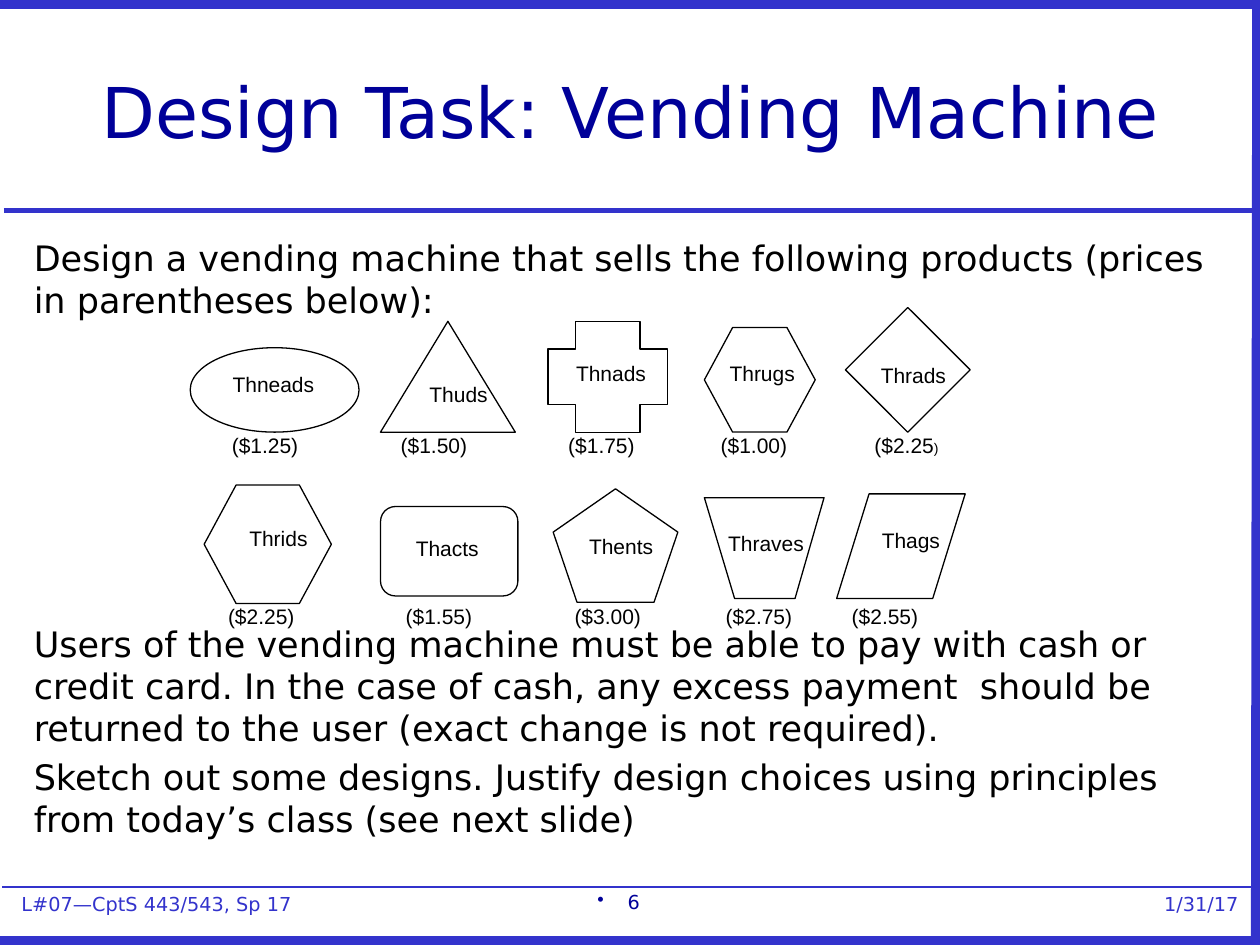
from lxml.etree import SubElement
from pptx import Presentation
from pptx.dml.color import RGBColor
from pptx.enum.shapes import MSO_CONNECTOR, MSO_SHAPE as SHAPE
from pptx.enum.text import MSO_ANCHOR as ANCHOR, PP_ALIGN as ALIGN
from pptx.oxml.ns import qn
from pptx.util import Emu, Pt

PX = 9144  # 100 px to the inch
COLORS = {"rule": "3333CC", "title": "000099", "ink": "000000", "paper": "FFFFFF"}
HEADING, LABEL = "DejaVu Sans", "Arial"
LABEL_INSETS = (9, 4, 9, 4)


def px(n):
    return Emu(n * PX)


def rgb(name):
    return RGBColor.from_string(COLORS[name])


def add_run(p, text, size, font, color):
    r = p.add_run()
    r.text = text
    r.font.size, r.font.name = Pt(size), font
    r.font.color.rgb = rgb(color)


def add_bullet(p, indent):
    pPr = p._p.get_or_add_pPr()
    pPr.set("marL", str(px(indent)))
    pPr.set("indent", str(-px(indent)))
    SubElement(pPr, qn("a:buChar")).set("char", "•")


class SlideBuilder:
    def __init__(self, slide):
        self.s = slide

    def text(self, box, paragraphs, size=12, font=LABEL, color="ink", align=ALIGN.LEFT,
             anchor=ANCHOR.TOP, insets=(10, 5, 10, 5), gap=0, fill=None):
        """Add a text box; each paragraph is a string or a list of (text, size) runs."""
        sp = self.s.shapes.add_textbox(*map(px, box))
        if fill:
            sp.fill.solid()
            sp.fill.fore_color.rgb = rgb(fill)
        tf = sp.text_frame
        tf.word_wrap, tf.vertical_anchor = True, anchor
        tf.margin_left, tf.margin_top, tf.margin_right, tf.margin_bottom = map(px, insets)
        for i, runs in enumerate(paragraphs):
            p = tf.add_paragraph() if i else tf.paragraphs[0]
            p.alignment = align
            if i:
                p.space_before = Pt(gap)
            for text, run_size in [(runs, size)] if isinstance(runs, str) else runs:
                add_run(p, text, run_size, font, color)
        return sp

    def line(self, start, end, width):
        c = self.s.shapes.add_connector(MSO_CONNECTOR.STRAIGHT, *map(px, start + end))
        c.line.color.rgb, c.line.width = rgb("rule"), Pt(width)
        SubElement(c._element.spPr, qn("a:effectLst"))

    def outline(self, sp):
        sp.shadow.inherit = False
        sp.fill.solid()
        sp.fill.fore_color.rgb = rgb("paper")
        sp.line.color.rgb, sp.line.width = rgb("ink"), Pt(0.75)

    def preset(self, kind, box, adj=None):
        sp = self.s.shapes.add_shape(kind, *map(px, box))
        if adj is not None:
            sp.adjustments[0] = adj
        self.outline(sp)

    def polygon(self, points):
        fb = self.s.shapes.build_freeform(*points[0], scale=PX)
        fb.add_line_segments(points[1:], close=True)
        self.outline(fb.convert_to_shape())

    def label(self, at, text):
        self.text((*at, 94, 39), [text], align=ALIGN.CENTER, insets=LABEL_INSETS)

    def price(self, at, runs):
        self.text((*at, 90, 33), [runs], insets=LABEL_INSETS)


# Per row: top of the prices, then (kind, box or points, adjustment, name, name position, price, price left)
ROWS = [
    (339, [
        (SHAPE.OVAL, (151, 276, 134, 67), None, "Thneads", (170, 291), "($1.25)", 175),
        (SHAPE.ISOSCELES_TRIANGLE, (302, 255, 107, 88), None, "Thuds", (317, 299), "($1.50)", 309),
        (SHAPE.CROSS, (435, 255, 95, 88), 0.25, "Thnads", (438, 282), "($1.75)", 442),
        (SHAPE.HEXAGON, (559, 260, 88, 83), 0.27, "Thrugs", (558, 282), "($1.00)", 563),
        (SHAPE.DIAMOND, (671, 244, 99, 99), None, "Thrads", (678, 284),
         [("($2.25", 12), (")", 8)], 685),
    ]),
    (475, [
        (SHAPE.HEXAGON, (162, 385, 101, 94), 0.27, "Thrids", (174, 413), "($2.25)", 172),
        (SHAPE.ROUNDED_RECTANGLE, (302, 402, 109, 71), None, "Thacts", (308, 421), "($1.55)", 313),
        (SHAPE.REGULAR_PENTAGON, (439, 388, 99, 90), None, "Thents", (446, 419), "($3.00)", 447),
        (None, [(559, 395), (583, 475), (631, 475), (654, 395)], None,
         "Thraves", (561, 417), "($2.75)", 567),
        (SHAPE.PARALLELOGRAM, (664, 392, 102, 83), 0.31, "Thags", (676, 415), "($2.55)", 667),
    ]),
]

RULES = [
    ((3, 167), (997, 167), 3),
    ((-1, 3), (998, 3), 6),
    ((-1, 747), (998, 747), 6),
    ((997, 751), (998, 0), 6),
    ((2, 704), (995, 704), 1),
]


def main():
    prs = Presentation()
    prs.slide_width, prs.slide_height = px(1000), px(750)
    b = SlideBuilder(prs.slides.add_slide(prs.slide_layouts[6]))

    footer = dict(size=11, font=HEADING, color="rule", insets=(0, 0, 0, 0), fill="paper")
    b.text((17, 708, 250, 18), ["L#07—CptS 443/543, Sp 17"], **footer)
    b.text((750, 708, 233, 18), ["1/31/17"], align=ALIGN.RIGHT, **footer)
    for start, end, width in RULES:
        b.line(start, end, width)

    b.text((17, 17, 967, 142), ["Design Task: Vending Machine"], size=40, font=HEADING,
           color="title", align=ALIGN.CENTER, anchor=ANCHOR.MIDDLE)
    body = dict(size=20, font=HEADING, gap=4)
    b.text((17, 183, 967, 80), [
        "Design a vending machine that sells the following products "
        "(prices in parentheses below):"], **body)
    b.text((17, 489, 967, 203), [
        "Users of the vending machine must be able to pay with cash or credit card. "
        "In the case of cash, any excess payment  should be returned to the user "
        "(exact change is not required).",
        "Sketch out some designs. Justify design choices using principles from "
        "today’s class (see next slide)"], **body)
    number = b.text((16, 702, 950, 17), ["6"], size=11, font=HEADING, color="title",
                    align=ALIGN.CENTER)
    add_bullet(number.text_frame.paragraphs[0], 24)

    for price_top, products in ROWS:
        for kind, geometry, adj, name, name_at, price, price_left in products:
            if kind is None:
                b.polygon(geometry)
            else:
                b.preset(kind, geometry, adj)
            b.label(name_at, name)
            b.price((price_left, price_top), price)

    prs.save("out.pptx")


if __name__ == "__main__":
    main()
